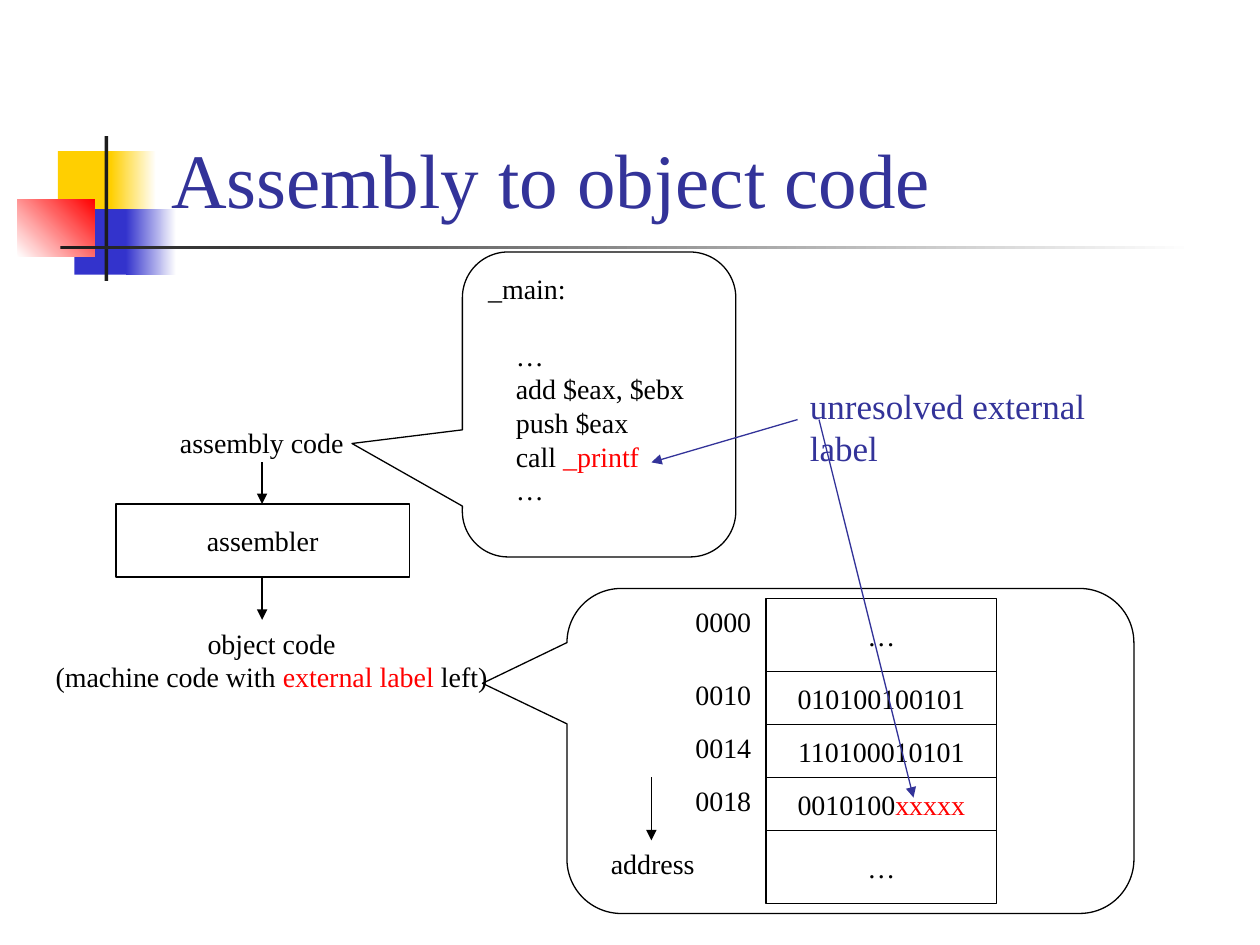
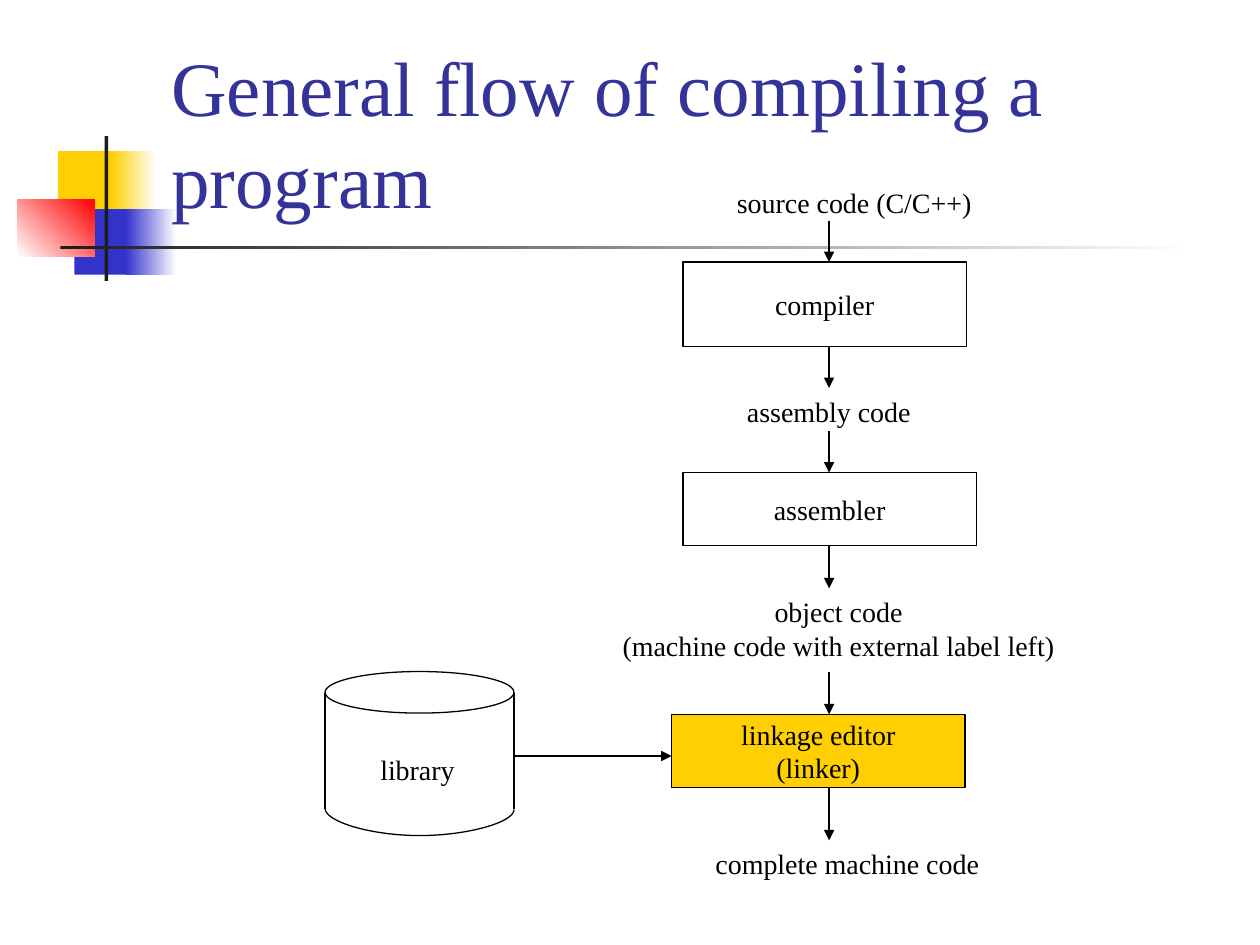
import pptx
import pptx.util
import pptx.dml.color
import pptx.enum.shapes
import pptx.enum.text
import pptx.oxml
import pptx.oxml.ns

Inches = pptx.util.Inches
Pt = pptx.util.Pt
SHAPES = pptx.enum.shapes.MSO_SHAPE
CONNECTORS = pptx.enum.shapes.MSO_CONNECTOR
ALIGN = pptx.enum.text.PP_ALIGN
ANCHOR = pptx.enum.text.MSO_ANCHOR

FONT = "Times New Roman"
BLACK, WHITE, RED, INDIGO = "000000", "FFFFFF", "FF0000", "333399"
YELLOW, BLUE, CHARCOAL = "FFCF01", "3333CC", "1C1C1C"

MASTER_BANDS = [
    ((0.46, 1.2, 0.48, 0.52), (YELLOW,), 0),
    ((0.88, 1.2, 0.36, 0.52), (YELLOW, WHITE), 0),
    ((0.59, 1.66, 0.46, 0.52), (BLUE,), 0),
    ((1, 1.66, 0.4, 0.52), (BLUE, WHITE), 0),
    ((0.14, 1.58, 0.61, 0.46), (WHITE, RED), 45),
    ((0.83, 1.08, 0.03, 1.15), (CHARCOAL,), 0),
    ((0.48, 1.95, 9, 0.03), (CHARCOAL, WHITE), 0),
]

TITLES = ["Assembly to object code", "General flow of compiling a program"]

ASSEMBLY_LISTING = [
    "_main:", "…", "add $eax, $ebx", "push $eax",
    [("call ", BLACK), ("_printf", RED)], "…",
]
MEMORY_ROWS = [
    ("0000", 0.58, "…"),
    ("0010", 0.42, "010100100101"),
    ("0014", 0.42, "110100010101"),
    ("0018", 0.42, [("0010100", BLACK), ("xxxxx", RED)]),
    (None, 0.58, "…"),
]
FLOW_LABELS = [
    ("source code (C/C++)", (5.75, 1.42, 2.07, 0.37)),
    ("complete machine code", (5.58, 6.67, 2.31, 0.37)),
    ("library", (2.92, 5.92, 0.8, 0.37)),
]
FLOW_BOXES = [
    (["compiler"], (5.42, 2.08, 2.25, 0.67), None),
    (["linkage editor", "(linker)"], (5.33, 5.67, 2.33, 0.58), YELLOW),
]
FLOW_ARROWS = [
    ((6.58, 1.75), (6.58, 2.08)),
    ((6.58, 2.75), (6.58, 3.08)),
    ((6.58, 5.33), (6.58, 5.67)),
    ((4.08, 6), (5.33, 6)),
    ((6.58, 6.25), (6.58, 6.67)),
]


def rgb(value):
    return pptx.dml.color.RGBColor.from_string(value)


def write(text_frame, paragraphs, align=ALIGN.LEFT, anchor=ANCHOR.TOP, wrap=False, size=16, color=BLACK):
    text_frame.word_wrap = wrap
    text_frame.vertical_anchor = anchor
    for index, content in enumerate(paragraphs):
        paragraph = text_frame.paragraphs[0] if index == 0 else text_frame.add_paragraph()
        paragraph.alignment = align
        paragraph.font.name = FONT
        paragraph.font.size = Pt(size)
        runs = [(content, color)] if isinstance(content, str) else content
        for text, run_color in runs:
            run = paragraph.add_run()
            run.text = text
            run.font.color.rgb = rgb(run_color)


def add_label(slide, paragraphs, box, **style):
    text_box = slide.shapes.add_textbox(*map(Inches, box))
    write(text_box.text_frame, paragraphs, **style)


def add_outline(slide, kind, box, fill=None, adjustments=()):
    shape = slide.shapes.add_shape(kind, *map(Inches, box))
    shape.shadow.inherit = False
    shape.line.color.rgb = rgb(BLACK)
    shape.line.width = Pt(0.75)
    if fill:
        shape.fill.solid()
        shape.fill.fore_color.rgb = rgb(fill)
    else:
        shape.fill.background()
    for index, value in enumerate(adjustments):
        shape.adjustments[index] = value
    return shape


def add_box(slide, paragraphs, box, fill=None):
    shape = add_outline(slide, SHAPES.RECTANGLE, box, fill)
    write(shape.text_frame, paragraphs, ALIGN.CENTER, ANCHOR.MIDDLE)


def add_line(slide, start, end, color=BLACK, arrow=True, kind=CONNECTORS.STRAIGHT):
    connector = slide.shapes.add_connector(kind, *map(Inches, start + end))
    connector.line.color.rgb = rgb(color)
    connector.line.width = Pt(0.75)
    if arrow:
        pptx.oxml.ns.qn("a:tailEnd")
        line = connector.line._get_or_add_ln()
        line.append(line.makeelement(pptx.oxml.ns.qn("a:tailEnd"), {"type": "triangle"}))
    properties = connector._element.spPr
    properties.append(properties.makeelement(pptx.oxml.ns.qn("a:effectLst"), {}))
    return connector


def add_master_bands(presentation, slide):
    for box, colors, angle in MASTER_BANDS:
        shape = slide.shapes.add_shape(SHAPES.RECTANGLE, *map(Inches, box))
        shape.shadow.inherit = False
        shape.line.fill.background()
        if len(colors) == 1:
            shape.fill.solid()
            shape.fill.fore_color.rgb = rgb(colors[0])
        else:
            shape.fill.gradient()
            shape.fill.gradient_angle = angle
            for stop, color in zip(shape.fill.gradient_stops, colors):
                stop.color.rgb = rgb(color)
        presentation.slide_master.shapes._spTree.append(shape._element)


def add_titled_slide(presentation, text):
    slide = presentation.slides.add_slide(presentation.slide_layouts[5])
    title = slide.shapes.title
    title.left, title.top, title.width, title.height = map(Inches, (1.26, 0.23, 8.52, 1.6))
    title.text_frame.auto_size = pptx.enum.text.MSO_AUTO_SIZE.NONE
    write(title.text_frame, [text], anchor=ANCHOR.BOTTOM, wrap=True, size=44, color=INDIGO)
    return slide


def add_assembler_stage(slide, left, top, label_color):
    center = left + 1.75
    add_label(slide, ["assembly code"], (left + 1, top, 1.51, 0.37))
    add_line(slide, (center, top + 0.34), (center, top + 0.67))
    add_box(slide, ["assembler"], (left + 0.59, top + 0.67, 2.33, 0.58))
    add_line(slide, (center, top + 1.25), (center, top + 1.59))
    object_code = [("(machine code with ", BLACK), ("external label", label_color), (" left)", BLACK)]
    add_label(slide, ["object code", object_code], (left, top + 1.59, 3.65, 0.64), align=ALIGN.CENTER)


def add_listing_callout(slide):
    callout = add_outline(slide, SHAPES.ROUNDED_RECTANGULAR_CALLOUT, (3.67, 2, 2.17, 2.42),
                          adjustments=(-0.904, 0.128, 0.167))
    write(callout.text_frame, ASSEMBLY_LISTING, wrap=True)
    heading, *instructions = callout.text_frame.paragraphs
    heading.space_after = Pt(19)
    for paragraph in instructions:
        paragraph._p.get_or_add_pPr().set("marL", str(Inches(0.22)))


def add_memory(slide):
    top = 4.75
    for address, height, content in MEMORY_ROWS:
        add_box(slide, [content], (6.08, top, 1.83, height))
        if address:
            add_label(slide, [address], (5.42, top, 0.65, 0.37))
        top += height
    add_line(slide, (5.17, 6.17), (5.17, 6.67))
    add_label(slide, ["address"], (4.75, 6.67, 0.87, 0.37))
    add_outline(slide, SHAPES.ROUNDED_RECTANGULAR_CALLOUT, (4.5, 4.67, 4.5, 2.58),
                adjustments=(-0.649, -0.208, 0.167))


def add_library_cylinder(slide):
    left, width, top, bottom = 2.58, 1.5, 5.5, 6.42
    add_outline(slide, SHAPES.OVAL, (left, 5.33, width, 0.33))
    for x in (left, left + width):
        add_line(slide, (x, top), (x, bottom), arrow=False)
    middle, thickness, depth = left + width / 2, 0.01, 0.22
    curve = add_line(slide, (middle + thickness / 2, bottom - width / 2),
                     (middle - thickness / 2, bottom + width / 2),
                     arrow=False, kind=CONNECTORS.CURVE)
    properties = curve._element.spPr
    properties.find(pptx.oxml.ns.qn("a:xfrm")).set("rot", str(270 * 60000))
    guides = properties.find(pptx.oxml.ns.qn("a:prstGeom")).find(pptx.oxml.ns.qn("a:avLst"))
    bulge = round(depth / thickness * 100000)
    guides.append(guides.makeelement(pptx.oxml.ns.qn("a:gd"), {"name": "adj1", "fmla": f"val {bulge}"}))


presentation = pptx.Presentation()
presentation.slide_width, presentation.slide_height = Inches(10), Inches(7.5)
assembly_slide, flow_slide = [add_titled_slide(presentation, title) for title in TITLES]
add_master_bands(presentation, assembly_slide)

add_assembler_stage(assembly_slide, 0.33, 3.33, RED)
add_listing_callout(assembly_slide)
add_memory(assembly_slide)
add_label(assembly_slide, ["unresolved external label"], (6.33, 3, 2.9, 0.43),
          wrap=True, size=20, color=INDIGO)
add_line(assembly_slide, (6.33, 3.33), (5.17, 3.67), INDIGO)
add_line(assembly_slide, (6.5, 3.33), (7.25, 6.33), INDIGO)

add_assembler_stage(flow_slide, 4.83, 3.08, BLACK)
for text, box in FLOW_LABELS:
    add_label(flow_slide, [text], box)
for paragraphs, box, fill in FLOW_BOXES:
    add_box(flow_slide, paragraphs, box, fill)
for start, end in FLOW_ARROWS:
    add_line(flow_slide, start, end)
add_library_cylinder(flow_slide)

presentation.save("out.pptx")
